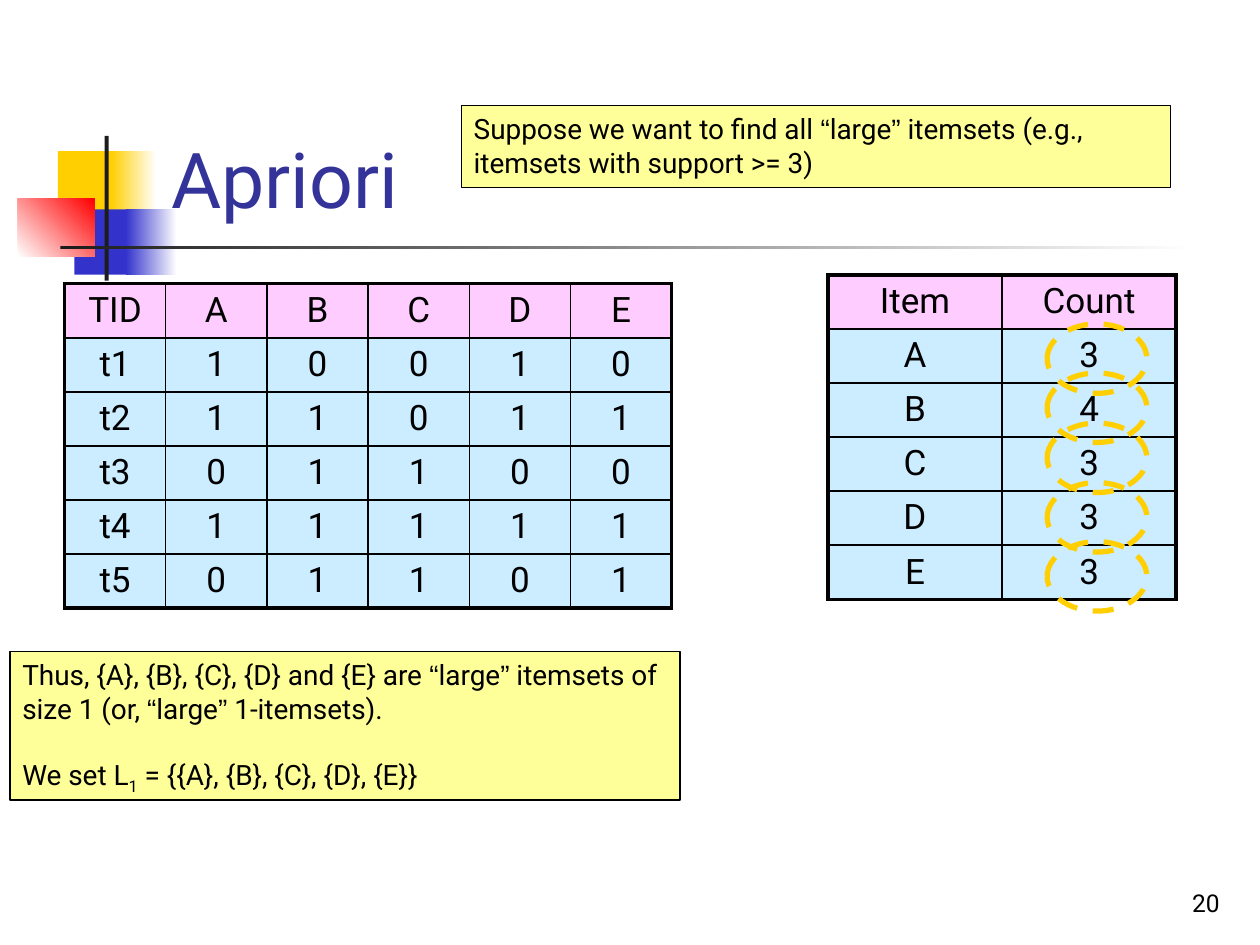
import itertools

import pptx
import pptx.dml.color
import pptx.enum.dml
import pptx.enum.shapes
import pptx.enum.text
import pptx.oxml
import pptx.oxml.ns
import pptx.util
from pptx.util import Cm

COLORS = {
    "black": "000000", "white": "FFFFFF", "charcoal": "1C1C1C",
    "gold": "FFCF01", "blue": "3333CC", "red": "FF0000", "title": "333399",
    "note": "FFFF99", "header": "FFCCFF", "body": "CCECFF",
}
FONT = "Roboto"
QUOTE_FONT = "Arial"
QUOTES = "\u201c\u201d"
ROW_HEIGHT = 1.09
ALIGN = pptx.enum.text.PP_ALIGN
ANCHOR = pptx.enum.text.MSO_ANCHOR
SHAPE = pptx.enum.shapes.MSO_SHAPE


def rgb(name):
    """Return the named colour."""
    return pptx.dml.color.RGBColor.from_string(COLORS[name])


def style_font(font, size, color="black"):
    """Set typeface, size and colour of a font."""
    font.name = FONT
    font.size = pptx.util.Pt(size)
    font.color.rgb = rgb(color)


def add_plain_shape(page, kind, bounds):
    """Add a shape without shadow, fill or line; bounds are in cm."""
    shape = page.shapes.add_shape(kind, *map(Cm, bounds))
    shape.shadow.inherit = False
    shape.fill.background()
    shape.line.fill.background()
    return shape


def add_bar(page, bounds, start, end=None, angle=0):
    """Add a rectangle in one colour, or fading from start to end."""
    fill = add_plain_shape(page, SHAPE.RECTANGLE, bounds).fill
    if end is None:
        fill.solid()
        fill.fore_color.rgb = rgb(start)
        return
    fill.gradient()
    fill.gradient_angle = angle
    for stop, color in zip(fill.gradient_stops, (start, end)):
        stop.color.rgb = rgb(color)


def add_ornament(page):
    """Draw the coloured blocks and the crossing rules beside the title."""
    add_bar(page, (1.17, 3.05, 1.22, 1.32), "gold")
    add_bar(page, (2.24, 3.05, 0.91, 1.32), "gold", "white")
    add_bar(page, (1.5, 4.22, 1.17, 1.32), "blue")
    add_bar(page, (2.54, 4.22, 1.02, 1.32), "blue", "white")
    add_bar(page, (0.36, 4.01, 1.55, 1.17), "white", "red", 45)
    add_bar(page, (2.11, 2.74, 0.08, 2.92), "charcoal")
    add_bar(page, (1.22, 4.95, 22.86, 0.08), "charcoal", "white")


def set_title(page, text):
    """Fill and place the title in front of the ornament."""
    title = page.shapes.title
    title.left, title.top, title.width, title.height = map(Cm, (3.2, 0.58, 21.64, 4.06))
    title.element.getparent().append(title.element)
    frame = title.text_frame
    frame.text = text
    frame.vertical_anchor = ANCHOR.BOTTOM
    para = frame.paragraphs[0]
    para.alignment = ALIGN.LEFT
    style_font(para.font, 44, "title")


def add_page_number(page, number):
    """Add the page number at the lower right."""
    box = page.shapes.add_textbox(*map(Cm, (19.56, 17.35, 5.28, 1.27)))
    frame = box.text_frame
    frame.word_wrap = True
    frame.vertical_anchor = ANCHOR.BOTTOM
    para = frame.paragraphs[0]
    para.text = str(number)
    para.alignment = ALIGN.RIGHT
    style_font(para.font, 14)


def add_spans(para, text):
    """Add text to a paragraph, with curly quotes in their own typeface."""
    for quoted, letters in itertools.groupby(text, lambda letter: letter in QUOTES):
        span = para.add_run()
        span.text = "".join(letters)
        if quoted:
            span.font.name = QUOTE_FONT


def add_note(page, bounds, text):
    """Add a bordered note and return its text frame."""
    note = add_plain_shape(page, SHAPE.RECTANGLE, bounds)
    note.fill.solid()
    note.fill.fore_color.rgb = rgb("note")
    note.line.color.rgb = rgb("black")
    note.line.width = pptx.util.Pt(0.75)
    frame = note.text_frame
    frame.word_wrap = True
    frame.vertical_anchor = ANCHOR.TOP
    para = frame.paragraphs[0]
    para.alignment = ALIGN.LEFT
    style_font(para.font, 16)
    add_spans(para, text)
    return frame


def add_result(frame):
    """Add the closing line with its subscript, set off by one line."""
    para = frame.add_paragraph()
    para.alignment = ALIGN.LEFT
    para.space_before = pptx.util.Pt(19)
    style_font(para.font, 16)
    para.add_run().text = "We set L"
    index = para.add_run()
    index.text = "1"
    index.font._element.set("baseline", "-25000")
    para.add_run().text = " = {{A}, {B}, {C}, {D}, {E}}"


def set_border(cell, side, points):
    """Draw one side (L, R, T or B) of a cell in black."""
    cell._tc.get_or_add_tcPr().append(pptx.oxml.parse_xml(
        f'<a:ln{side} {pptx.oxml.ns.nsdecls("a")} w="{pptx.util.Pt(points)}">'
        f'<a:solidFill><a:srgbClr val="{COLORS["black"]}"/></a:solidFill></a:ln{side}>'))


def add_grid(page, left, top, column_width, rows):
    """Add a table with a coloured header and a heavy outer frame."""
    row_count, column_count = len(rows), len(rows[0])
    table = page.shapes.add_table(
        row_count, column_count, Cm(left), Cm(top),
        Cm(column_width * column_count), Cm(ROW_HEIGHT * row_count)).table
    table.first_row = table.horz_banding = False
    for column in table.columns:
        column.width = Cm(column_width)
    for row in table.rows:
        row.height = Cm(ROW_HEIGHT)
    for y, x in itertools.product(range(row_count), range(column_count)):
        cell = table.cell(y, x)
        outer = {"L": x == 0, "R": x == column_count - 1,
                 "T": y == 0, "B": y == row_count - 1}
        for side, heavy in outer.items():
            set_border(cell, side, 2.25 if heavy else 1)
        cell.fill.solid()
        cell.fill.fore_color.rgb = rgb("body" if y else "header")
        para = cell.text_frame.paragraphs[0]
        para.text = rows[y][x]
        para.alignment = ALIGN.CENTER
        style_font(para.font, 20)


def add_ring(page, top):
    """Add a dashed ring around a count."""
    ring = add_plain_shape(page, SHAPE.OVAL, (21.11, top, 2.01, 1.4))
    ring.line.color.rgb = rgb("gold")
    ring.line.width = pptx.util.Pt(3)
    ring.line.dash_style = pptx.enum.dml.MSO_LINE.DASH


def main():
    """Build the slide and save it."""
    deck = pptx.Presentation()
    deck.slide_width, deck.slide_height = Cm(25.4), Cm(19.05)
    page = deck.slides.add_slide(deck.slide_layouts[5])
    add_ornament(page)
    add_page_number(page, 20)
    set_title(page, "Apriori")
    transactions = ["TID A B C D E", "t1 1 0 0 1 0", "t2 1 1 0 1 1",
                    "t3 0 1 1 0 0", "t4 1 1 1 1 1", "t5 0 1 1 0 1"]
    counts = ["Item Count", "A 3", "B 4", "C 3", "D 3", "E 3"]
    add_grid(page, 1.3, 5.72, 2.04, [line.split() for line in transactions])
    add_grid(page, 16.69, 5.54, 3.51, [line.split() for line in counts])
    add_note(page, (9.3, 2.13, 14.3, 1.65),
             "Suppose we want to find all “large” itemsets (e.g., itemsets with support >= 3)")
    for top in (6.53, 7.52, 8.53, 9.73, 10.92):
        add_ring(page, top)
    add_result(add_note(
        page, (0.2, 13.13, 13.51, 3),
        "Thus, {A}, {B}, {C}, {D} and {E} are “large” itemsets of size 1 "
        "(or, “large” 1-itemsets)."))
    deck.save("out.pptx")


main()
